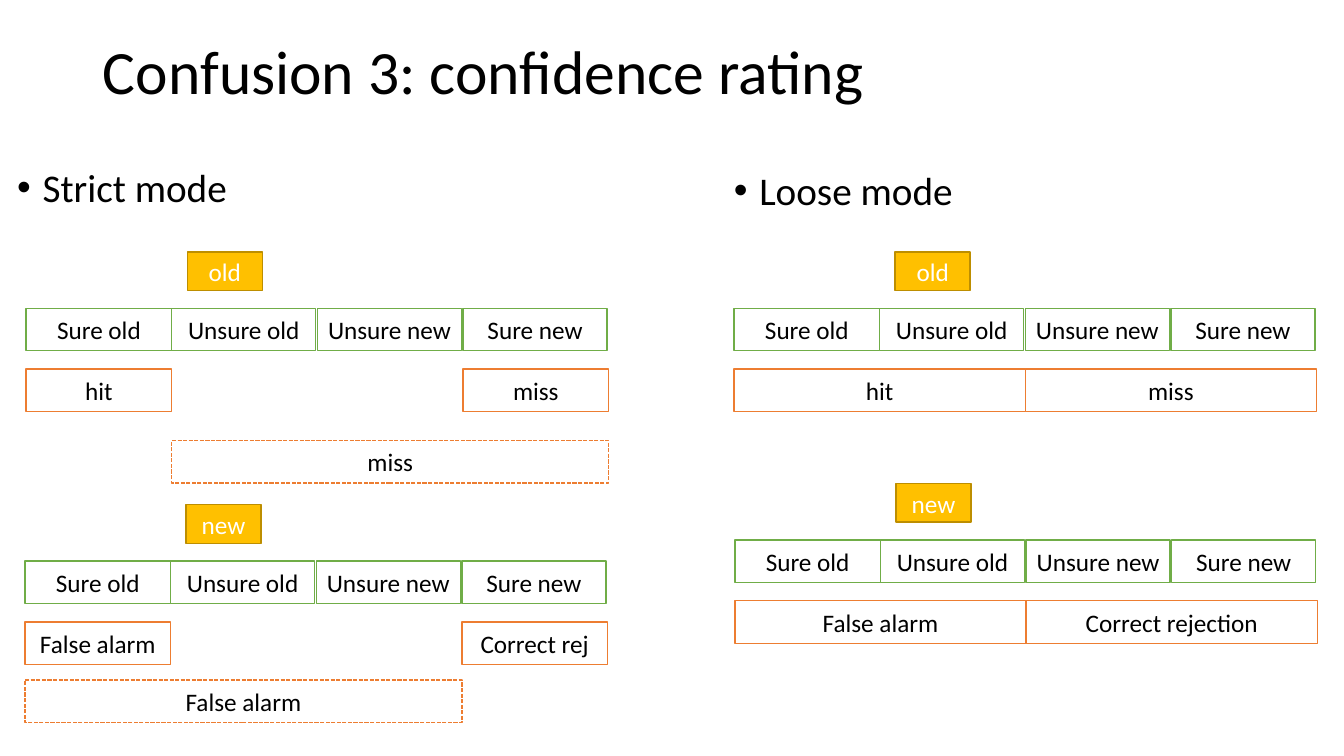
from dataclasses import dataclass

from pptx import Presentation
from pptx import util as u
from pptx.dml.color import RGBColor
from pptx.enum import dml, shapes, text

TITLE = "Confusion 3: confidence rating"
MODES = [("Strict mode", 0.18, 4.11), ("Loose mode", 18.24, 4.19)]
RATINGS = ["Sure old", "Unsure old", "Unsure new", "Sure new"]

# Outcomes: label, first column, columns spanned, drop below the stimulus, dashed
PANELS = [
    ("old", 0.66, 6.35, [("hit", 0, 1, 2.95, False), ("miss", 3, 1, 2.95, False),
                         ("miss", 1, 3, 4.75, True)]),
    ("new", 0.63, 12.72, [("False alarm", 0, 1, 2.95, False),
                          ("Correct rej", 3, 1, 2.95, False),
                          ("False alarm", 0, 3, 4.42, True)]),
    ("old", 18.5, 6.35, [("hit", 0, 2, 2.95, False), ("miss", 2, 2, 2.95, False)]),
    ("new", 18.52, 12.19, [("False alarm", 0, 2, 2.95, False),
                           ("Correct rejection", 2, 2, 2.95, False)]),
]

PITCH, GAP, ROW_HEIGHT, RATING_DROP = 3.67, 0.04, 1.07, 1.42
STIMULUS_SHIFT, STIMULUS_WIDTH, STIMULUS_HEIGHT = 4.06, 1.89, 0.97


@dataclass(frozen=True)
class Theme:
    font: str = "Calibri"
    title_size: int = 44
    mode_size: int = 28
    box_size: int = 18
    black: str = "000000"
    white: str = "FFFFFF"
    stimulus: str = "FFC000"
    stimulus_line: str = "BD8E00"
    rating_line: str = "70AD47"
    outcome_line: str = "ED7D31"


THEME = Theme()


def style(paragraph, size, color, alignment):
    paragraph.alignment = alignment
    paragraph.font.name = THEME.font
    paragraph.font.size = u.Pt(size)
    paragraph.font.color.rgb = RGBColor.from_string(color)


def fill_placeholder(placeholder, wording, box, size, anchor):
    placeholder.left, placeholder.top, placeholder.width, placeholder.height = map(u.Cm, box)
    frame = placeholder.text_frame
    frame.text = wording
    frame.auto_size = text.MSO_AUTO_SIZE.NONE
    frame.vertical_anchor = anchor
    paragraph = frame.paragraphs[0]
    paragraph.line_spacing = 0.9
    paragraph.space_before = u.Pt(0)
    style(paragraph, size, THEME.black, text.PP_ALIGN.LEFT)
    return paragraph


def add_box(group, label, box, fill, line, color=THEME.black, dashed=False):
    shape = group.shapes.add_shape(shapes.MSO_SHAPE.RECTANGLE, *map(u.Cm, box))
    shape.shadow.inherit = False
    shape.fill.solid()
    shape.fill.fore_color.rgb = RGBColor.from_string(fill)
    shape.line.color.rgb = RGBColor.from_string(line)
    shape.line.width = u.Pt(1)
    if dashed:
        shape.line.dash_style = dml.MSO_LINE.SQUARE_DOT
    frame = shape.text_frame
    frame.margin_left = frame.margin_right = u.Cm(0.1)
    frame.vertical_anchor = text.MSO_ANCHOR.MIDDLE
    frame.text = label
    style(frame.paragraphs[0], THEME.box_size, color, text.PP_ALIGN.CENTER)


def add_panel(slide, stimulus, left, top, outcomes):
    group = slide.shapes.add_group_shape()
    add_box(group, stimulus, (left + STIMULUS_SHIFT, top, STIMULUS_WIDTH, STIMULUS_HEIGHT),
            THEME.stimulus, THEME.stimulus_line, THEME.white)
    for column, rating in enumerate(RATINGS):
        width = PITCH - (GAP if column else 0)
        add_box(group, rating, (left + column * PITCH, top + RATING_DROP, width, ROW_HEIGHT),
                THEME.white, THEME.rating_line)
    for label, column, span, drop, dashed in outcomes:
        add_box(group, label, (left + column * PITCH, top + drop, span * PITCH, ROW_HEIGHT),
                THEME.white, THEME.outcome_line, dashed=dashed)


def main():
    """Build the confidence rating slide and save it."""
    presentation = Presentation()
    presentation.slide_width, presentation.slide_height = u.Cm(33.87), u.Cm(19.05)
    slide = presentation.slides.add_slide(presentation.slide_layouts[3])
    title, *bodies = slide.placeholders
    fill_placeholder(title, TITLE, (2.34, 0.03, 29.21, 3.68), THEME.title_size,
                     text.MSO_ANCHOR.MIDDLE)
    for body, (mode, left, top) in zip(bodies, MODES):
        paragraph = fill_placeholder(body, mode, (left, top, 9.45, 1.57), THEME.mode_size,
                                     text.MSO_ANCHOR.TOP)
        properties = paragraph._p.get_or_add_pPr()
        properties.set("marL", str(u.Cm(0.64)))
        properties.set("indent", str(-u.Cm(0.64)))
    for panel in PANELS:
        add_panel(slide, *panel)
    presentation.save("out.pptx")


if __name__ == "__main__":
    main()
